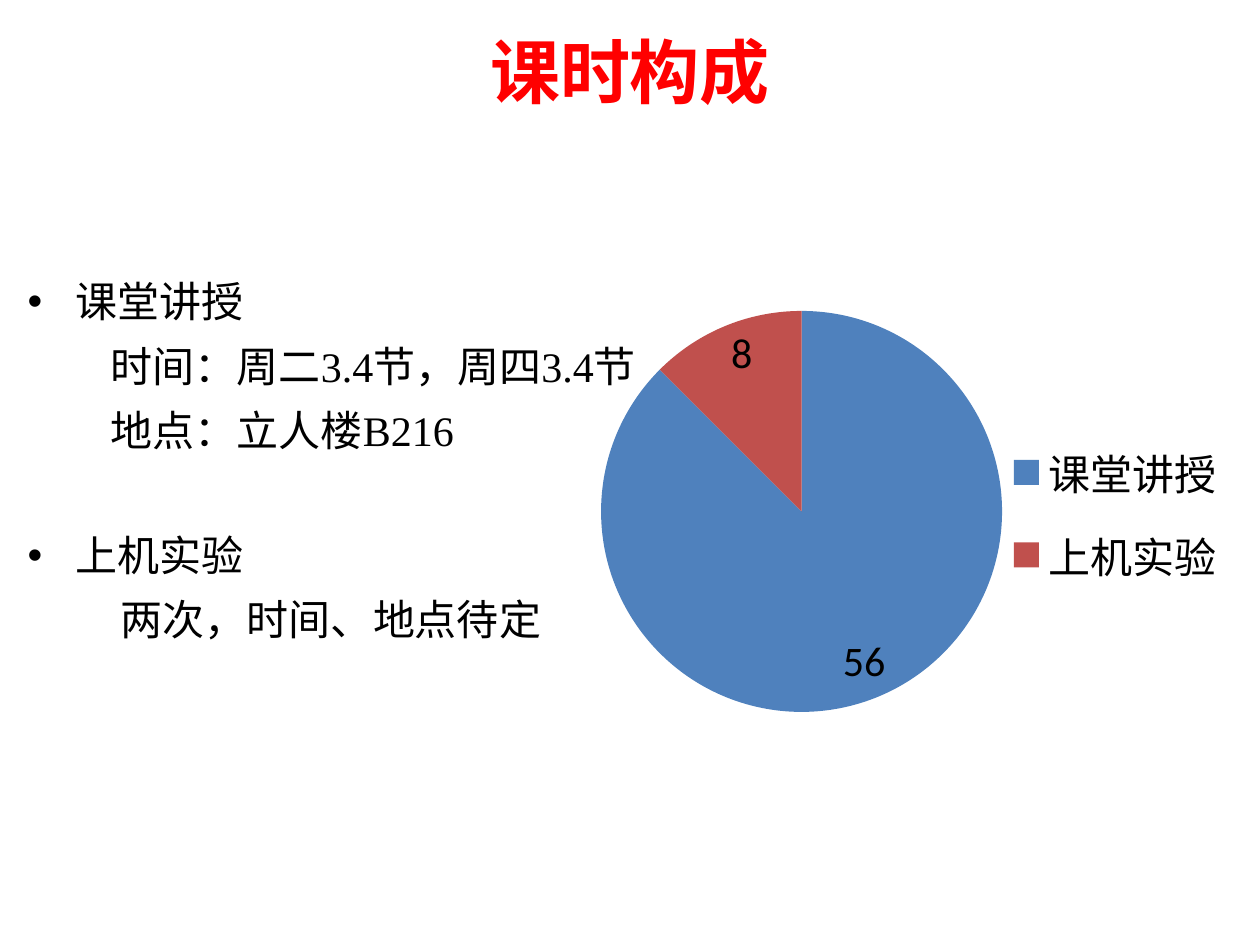
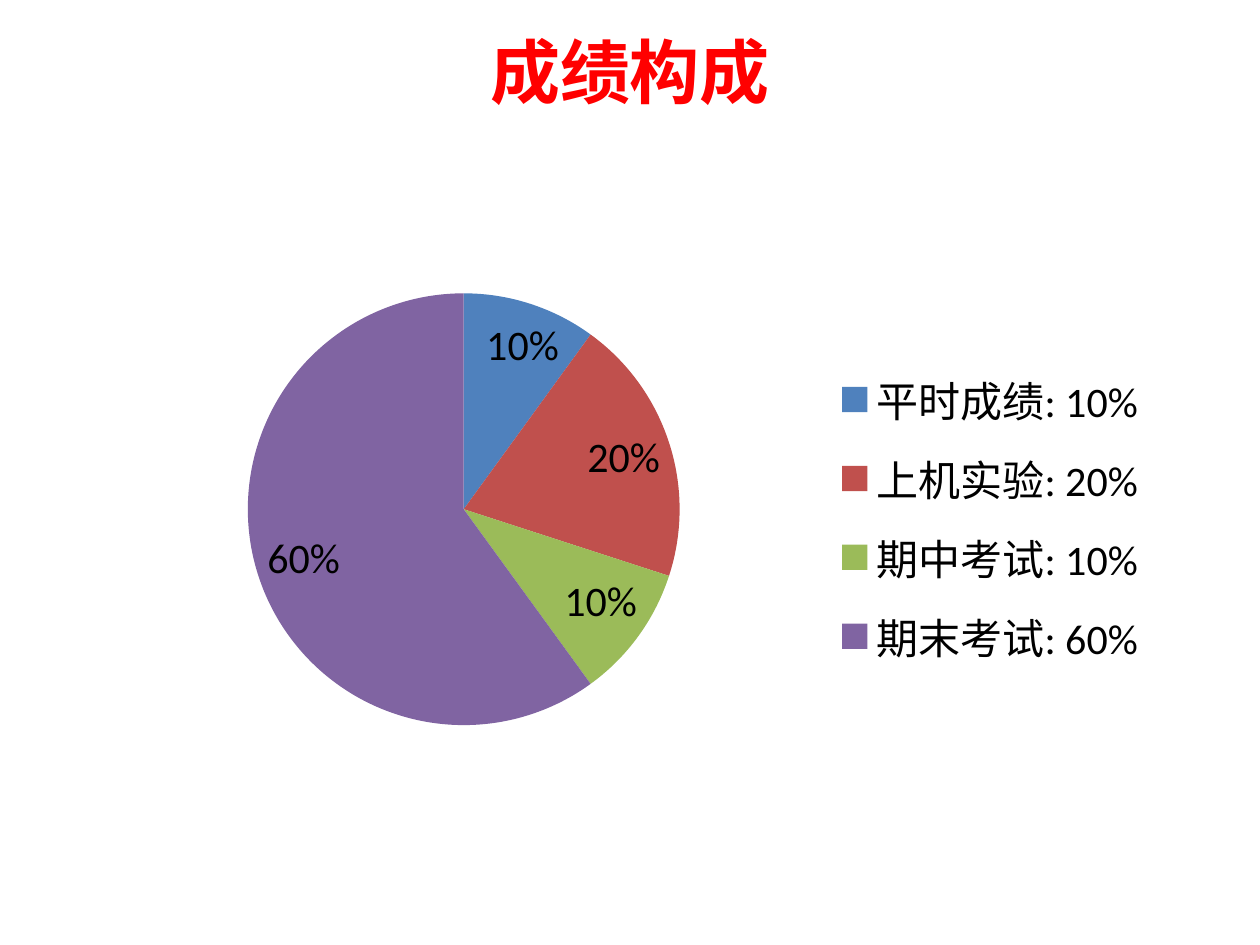
from lxml import etree
from pptx import Presentation
from pptx.chart.data import CategoryChartData
from pptx.dml.color import RGBColor
from pptx.enum.chart import XL_CHART_TYPE, XL_LABEL_POSITION, XL_LEGEND_POSITION
from pptx.enum.text import MSO_ANCHOR, MSO_AUTO_SIZE, PP_ALIGN
from pptx.oxml.ns import qn
from pptx.util import Inches, Pt

COLORS = {"title": "FF0000", "text": "000000", "blue": "4F81BD",
          "red": "C0504D", "green": "9BBB59", "purple": "8064A2"}
SLICES = ["blue", "red", "green", "purple"]
TEXT_FONT = "Times New Roman"
CHART_FONT = "Calibri"


def rgb(name):
    return RGBColor.from_string(COLORS[name])


def place(shape, left, top, width, height):
    shape.left, shape.top = Inches(left), Inches(top)
    shape.width, shape.height = Inches(width), Inches(height)


def style(font, size, color, name, bold=False):
    font.size, font.name, font.bold = Pt(size), name, bold
    font.color.rgb = rgb(color)


def add_titled_slide(prs, layout, title):
    s = prs.slides.add_slide(prs.slide_layouts[layout])
    place(s.shapes.title, 0.5, 0.05, 9, 1.02)
    tf = s.shapes.title.text_frame
    tf.vertical_anchor = MSO_ANCHOR.MIDDLE
    p = tf.paragraphs[0]
    p.alignment = PP_ALIGN.CENTER
    r = p.add_run()
    r.text = title
    style(r.font, 40, "title", TEXT_FONT, bold=True)
    return s


def set_indent(p, margin, first_line, bullet=None):
    pPr = p._p.get_or_add_pPr()
    pPr.set("marL", str(Inches(margin)))
    pPr.set("indent", str(Inches(first_line)))
    if bullet:
        etree.SubElement(pPr, qn("a:buFont")).set("typeface", "Arial")
        etree.SubElement(pPr, qn("a:buChar")).set("char", bullet)
    else:
        etree.SubElement(pPr, qn("a:buNone"))


def fill_list(body, items):
    """Items are (text, first-line indent, space before); no indent means a bullet."""
    tf = body.text_frame
    tf.auto_size = MSO_AUTO_SIZE.NONE
    for i, (text, first_line, space) in enumerate(items):
        p = tf.paragraphs[0] if i == 0 else tf.add_paragraph()
        if first_line:
            set_indent(p, 0, first_line)
        else:
            set_indent(p, 0.38, -0.38, "•")
        p.line_spacing = 1.1
        p.space_before = Pt(space)
        r = p.add_run()
        r.text = text
        style(r.font, 24, "text", TEXT_FONT)


def set_layout(element, box, **options):
    """Fix the box of a plot area or legend as fractions of the chart."""
    layout = element.find(qn("c:layout"))
    if layout is None:
        layout = etree.Element(qn("c:layout"))
        before = element.find(qn("c:legendPos"))
        if before is None:
            element.insert(0, layout)
        else:
            before.addnext(layout)
    manual = etree.SubElement(layout, qn("c:manualLayout"))
    settings = {**options, "xMode": "edge", "yMode": "edge", **dict(zip("xywh", box))}
    for tag, value in settings.items():
        etree.SubElement(manual, qn(f"c:{tag}")).set("val", str(value))


def add_pie(s, box, values, number_format, plot_box, legend_box):
    data = CategoryChartData(number_format=number_format)
    data.categories = list(values)
    data.add_series("Series 1", list(values.values()))
    chart = s.shapes.add_chart(XL_CHART_TYPE.PIE, *map(Inches, box), data).chart
    chart.has_title = False
    style(chart.font, 18, "text", CHART_FONT)

    chart.has_legend = True
    legend = chart.legend
    legend.position = XL_LEGEND_POSITION.RIGHT
    legend.include_in_layout = False
    style(legend.font, 24, "text", CHART_FONT)

    plot = chart.plots[0]
    plot.vary_by_categories = True
    for i, color in enumerate(SLICES[:len(values)]):
        fill = plot.series[0].points[i].format.fill
        fill.solid()
        fill.fore_color.rgb = rgb(color)

    plot.has_data_labels = True
    labels = plot.data_labels
    labels.show_value = True
    labels.show_percentage = False
    labels.number_format = number_format
    labels.number_format_is_linked = False
    labels.position = XL_LABEL_POSITION.BEST_FIT
    style(labels.font, 24, "text", CHART_FONT)

    set_layout(chart._chartSpace.chart.plotArea, plot_box, layoutTarget="inner")
    set_layout(legend._element, legend_box)


def add_hours_slide(prs):
    s = add_titled_slide(prs, 1, "课时构成")
    body = s.placeholders[1]
    place(body, 0.12, 2.1, 5.2, 3.86)
    fill_list(body, [
        ("课堂讲授", 0, 0),
        ("时间：周二3.4节，周四3.4节", 0.66, 5),
        ("地点：立人楼B216", 0.66, 5),
        ("上机实验", 0, 40),
        ("两次，时间、地点待定", 0.74, 5),
    ])
    add_pie(s, (4.65, 2.33, 5.35, 3.46), {"课堂讲授": 56, "上机实验": 8},
            "General", (0.02, 0.04, 0.6, 0.92), (0.61, 0.29, 0.35, 0.43))


def add_grades_slide(prs):
    s = add_titled_slide(prs, 5, "成绩构成")
    grades = {"平时成绩": 0.1, "上机实验": 0.2, "期中考试": 0.1, "期末考试": 0.6}
    add_pie(s, (1.06, 1.78, 8.19, 4.57),
            {f"{name}: {share:.0%}": share for name, share in grades.items()},
            "0%", (0.11, 0.12, 0.42, 0.75), (0.66, 0.22, 0.34, 0.58))


def main():
    prs = Presentation()
    prs.slide_width, prs.slide_height = Inches(10), Inches(7.5)
    add_hours_slide(prs)
    add_grades_slide(prs)
    prs.save("out.pptx")


if __name__ == "__main__":
    main()
